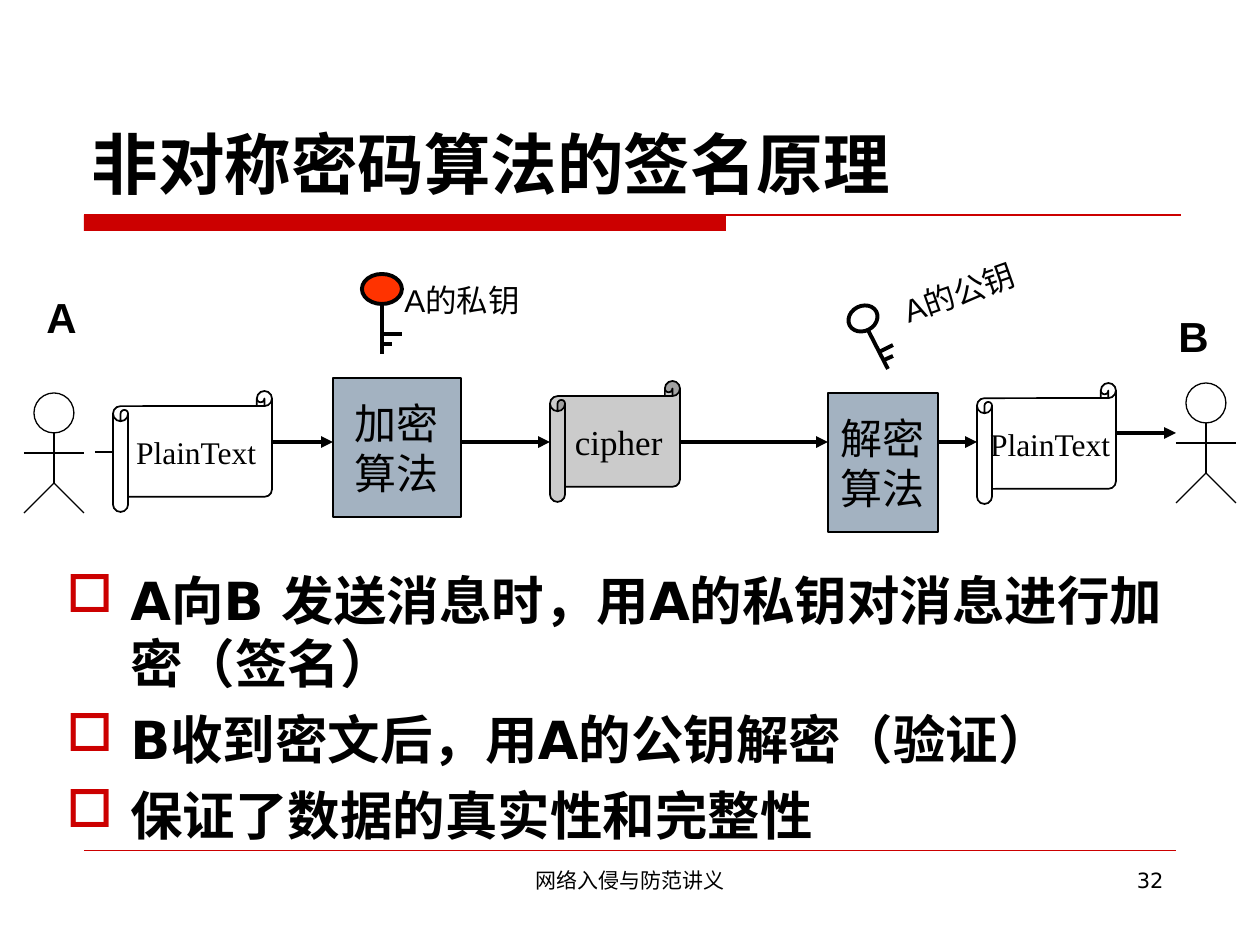
from lxml import etree
from pptx import Presentation, util as u
from pptx.dml.color import RGBColor
from pptx.enum import shapes as kinds, text as t
from pptx.oxml.ns import qn

# Content; lengths are pixels, 126 to the inch
TITLE = "非对称密码算法的签名原理"
POINTS = ["A向B 发送消息时，用A的私钥对消息进行加密（签名）",
          "B收到密文后，用A的公钥解密（验证）",
          "保证了数据的真实性和完整性"]
SCROLL, BOX = kinds.MSO_SHAPE.HORIZONTAL_SCROLL, kinds.MSO_SHAPE.RECTANGLE
OVAL = kinds.MSO_SHAPE.OVAL
STEPS = [  # kind, box, fill, lines, size, font, outline
    (SCROLL, (113, 391, 159, 121), None, ["PlainText"], 18, "Times New Roman", 1),
    (BOX, (333, 378, 128, 139), "A3B2C1", ["加密", "算法"], 24, "Arial", 0.75),
    (SCROLL, (550, 381, 130, 121), "CBCBCB", ["cipher"], 20, "Times New Roman", 1),
    (BOX, (828, 393, 110, 139), "A3B2C1", ["解密", "算法"], 24, "Arial", 0.75),
    (SCROLL, (977, 383, 139, 121), None, ["PlainText"], 18, "Times New Roman", 1),
]
LABELS = [  # text, box, size, bold, space before, rotation
    ("A", (34, 285, 89, 63), 24, True, 15, 0),
    ("B", (1166, 304, 89, 63), 24, True, 15, 0),
    ("A的私钥", (392, 275, 208, 50), 18, False, 11.2, 0),
    ("A的公钥", (888, 263, 169, 50), 18, False, 11.2, -19.5),
]
FOOTERS = [("网络入侵与防范讲义", (431, 861, 399, 66), t.PP_ALIGN.CENTER),
           ("32", (903, 861, 273, 66), t.PP_ALIGN.RIGHT)]
PEOPLE = [(54, 393), (1206, 383)]  # top of head
LIMBS = [(-30, 60, 30, 60), (0, 40, 0, 90), (0, 90, -30, 120), (0, 90, 30, 120)]
KEYS = [  # head box, rotation, fill, strokes
    ((848, 306, 30, 25), -27.1, None,
     [(868, 330, 888, 369), (879, 352, 893, 345), (884, 360, 893, 356)]),
    ((362, 274, 40, 30), 0, "FF3300",
     [(382, 304, 382, 354), (382, 344, 392, 344), (382, 334, 402, 334)]),
]
FLOW_Y = 442


def px(value):
    return u.Emu(round(value * 914400 / 126))


def color(value):
    return RGBColor.from_string(value)


def add_shape(parent, kind, box, fill=None, width=0.75, line="000000"):
    shape = parent.add_shape(kind, *map(px, box))
    shape.shadow.inherit = False
    if fill:
        shape.fill.solid()
        shape.fill.fore_color.rgb = color(fill)
    else:
        shape.fill.background()
    if line:
        shape.line.color.rgb = color(line)
        shape.line.width = u.Pt(width)
    else:
        shape.line.fill.background()
    return shape


def add_line(parent, ends, width=0.75, line="000000", arrow=False):
    connector = parent.add_connector(kinds.MSO_CONNECTOR.STRAIGHT, *map(px, ends))
    connector.line.color.rgb = color(line)
    connector.line.width = u.Pt(width)
    if arrow:
        etree.SubElement(connector.line._get_or_add_ln(), qn("a:tailEnd"), type="triangle")
    etree.SubElement(connector._element.spPr, qn("a:effectLst"))


def write(shape, lines, size, font, bold=False, align=t.PP_ALIGN.LEFT, before=0, wrap=True):
    frame = shape.text_frame
    frame.text = "\n".join(lines)
    frame.word_wrap = wrap
    frame.auto_size = t.MSO_AUTO_SIZE.NONE
    for paragraph in frame.paragraphs:
        paragraph.alignment = align
        paragraph.space_before = u.Pt(before)
        paragraph.font.size = u.Pt(size)
        paragraph.font.name = font
        paragraph.font.bold = bold
        paragraph.font.color.rgb = color("000000")
    return frame


def add_bullet(paragraph):
    properties = paragraph._p.get_or_add_pPr()
    properties.set("marL", str(px(64)))
    properties.set("indent", str(-px(64)))
    bullet_color = etree.Element(qn("a:buClr"))
    etree.SubElement(bullet_color, qn("a:srgbClr"), val="CC0000")
    defaults = properties.find(qn("a:defRPr"))
    defaults.addprevious(bullet_color)
    defaults.addprevious(etree.Element(qn("a:buChar"), char="□"))


presentation = Presentation()
presentation.slide_width, presentation.slide_height = px(1260), px(945)
slide = presentation.slides.add_slide(presentation.slide_layouts[5])
shapes = slide.shapes

# Rules and footer
add_shape(shapes, BOX, (84, 215, 642, 16), "CC0000", line=None)
add_line(shapes, (84, 215, 1181, 215), line="CC0000")
add_line(shapes, (84, 850, 1176, 850), 0.25, "CC0000")
for words, box, align in FOOTERS:
    write(shapes.add_textbox(*map(px, box)), [words], 12, "DejaVu Sans", align=align)

# Title and points
title = shapes.title
title.left, title.top, title.width, title.height = map(px, (79, 42, 1103, 167))
write(title, [TITLE], 38, "DejaVu Sans", True).vertical_anchor = t.MSO_ANCHOR.BOTTOM
points = shapes.add_textbox(*map(px, (54, 562, 1142, 339)))
for paragraph in write(points, POINTS, 30, "DejaVu Sans", True, before=7.5).paragraphs:
    add_bullet(paragraph)

# Steps and the arrows between them
for kind, box, fill, lines, size, font, width in STEPS:
    step = add_shape(shapes, kind, box, fill, width)
    frame = write(step, lines, size, font, align=t.PP_ALIGN.CENTER, wrap=False)
    frame.vertical_anchor = t.MSO_ANCHOR.MIDDLE
boxes = [step[1] for step in STEPS]
for before, after in zip(boxes, boxes[1:]):
    add_line(shapes, (before[0] + before[2], FLOW_Y, after[0], FLOW_Y), 2.25, arrow=True)
add_line(shapes, (1116, 433, 1176, 433), 2.25, arrow=True)
add_line(shapes, (95, 452, 113, 452))

# Labels
for words, box, size, bold, before, rotation in LABELS:
    label = shapes.add_textbox(*map(px, box))
    label.rotation = rotation
    write(label, [words], size, "Arial", bold, before=before)

# Stick figures
for x, y in PEOPLE:
    person = shapes.add_group_shape().shapes
    add_shape(person, OVAL, (x - 20, y, 40, 40))
    for x1, y1, x2, y2 in LIMBS:
        add_line(person, (x + x1, y + y1, x + x2, y + y2))

# Keys
for head, rotation, fill, strokes in KEYS:
    key = shapes.add_group_shape().shapes
    add_shape(key, OVAL, head, fill, 2.25).rotation = rotation
    for ends in strokes:
        add_line(key, ends, 2.25)

presentation.save("out.pptx")
